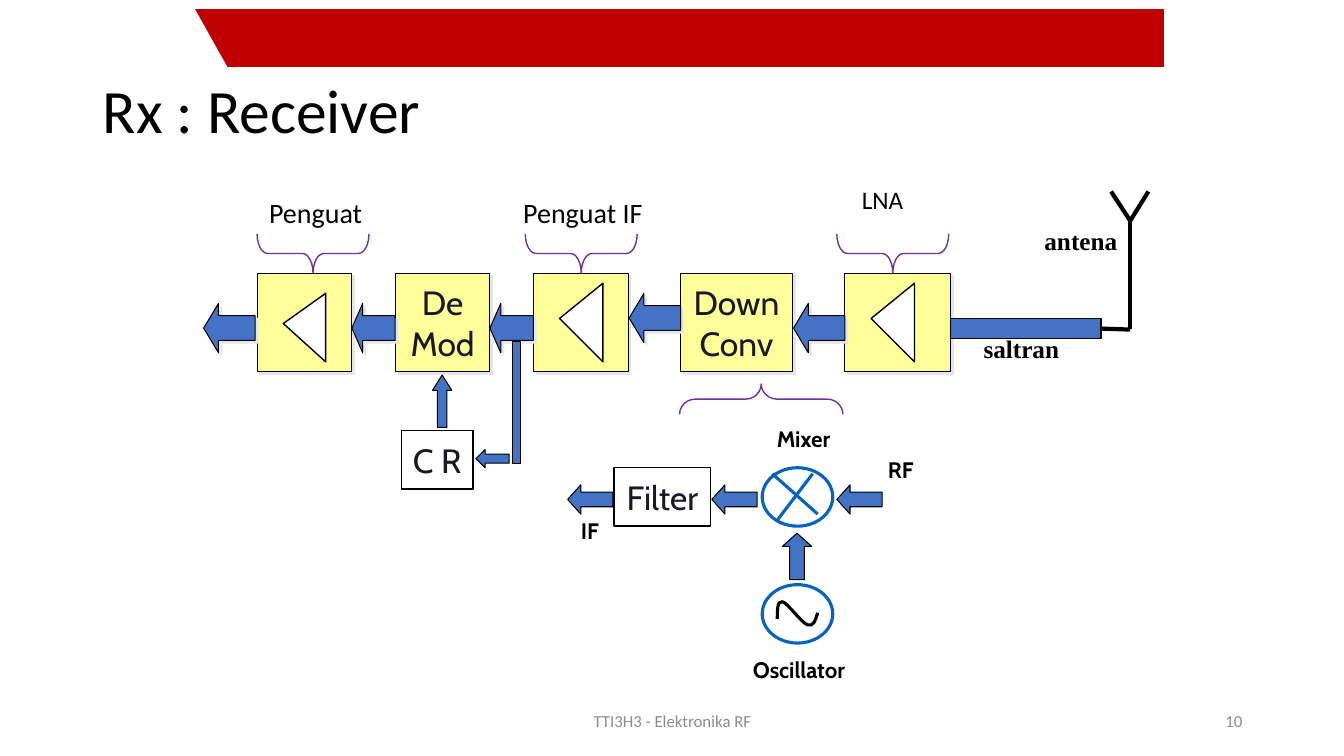
from lxml import etree
from pptx import Presentation
from pptx import util as u
from pptx.dml.color import RGBColor
from pptx.enum import shapes as sh, text as t
from pptx.oxml.ns import qn

PX = 9144  # EMU per px, 100 px to the inch
COLORS = {
    "banner": "C00000", "white": "FFFFFF", "black": "000000", "footer": "8C8C8C",
    "block": "FFFF99", "signal": "4472C4", "brace": "7030A0", "mixer": "0563C1",
    "ink": "191925", "shadow": "E7E6E6",
}
SHAPE = sh.MSO_SHAPE
LEFT, CENTER, RIGHT = t.PP_ALIGN.LEFT, t.PP_ALIGN.CENTER, t.PP_ALIGN.RIGHT
TOP, MIDDLE, BOTTOM = t.MSO_ANCHOR.TOP, t.MSO_ANCHOR.MIDDLE, t.MSO_ANCHOR.BOTTOM


def rgb(name):
    return RGBColor.from_string(COLORS[name])


def emu(*lengths):
    return [length * PX for length in lengths]


def style(shape, fill, line, width):
    shape.shadow.inherit = False
    if fill:
        shape.fill.solid()
        shape.fill.fore_color.rgb = rgb(fill)
    else:
        shape.fill.background()
    shape.line.color.rgb = rgb(line)
    shape.line.width = u.Pt(width)


def add_preset(slide, kind, box, fill, line="black", width=0.75, adjust=()):
    shape = slide.shapes.add_shape(kind, *emu(*box))
    style(shape, fill, line, width)
    for index, value in enumerate(adjust):
        shape.adjustments[index] = value
    return shape


def add_shadow(shape):
    effects = shape._element.spPr.find(qn("a:effectLst"))
    shadow = etree.SubElement(effects, qn("a:outerShdw"), dist=str(u.Pt(2.8)),
                              dir="2700000", algn="ctr", rotWithShape="0")
    etree.SubElement(shadow, qn("a:srgbClr"), val=COLORS["shadow"])


def write(frame, lines, size, font, color, bold=False, align=LEFT, anchor=TOP, wrap=True):
    frame.word_wrap = wrap
    frame.vertical_anchor = anchor
    for index, line in enumerate(lines):
        paragraph = frame.paragraphs[0] if index == 0 else frame.add_paragraph()
        paragraph.alignment = align
        run = paragraph.add_run()
        run.text = line
        run.font.size = u.Pt(size)
        run.font.name = font
        run.font.bold = bold
        run.font.color.rgb = rgb(color)


def add_label(slide, box, wording, size, font="Calibri", color="black", **options):
    label = slide.shapes.add_textbox(*emu(*box))
    write(label.text_frame, [wording], size, font, color, **options)
    return label


def add_block(slide, box, lines=(), fill="block", width=0.75):
    block = add_preset(slide, SHAPE.RECTANGLE, box, fill, width=width)
    write(block.text_frame, lines, 24, "Cabin", "ink", align=CENTER, anchor=MIDDLE, wrap=False)
    return block


def add_arrow(slide, box, head, kind=SHAPE.LEFT_ARROW):
    return add_preset(slide, kind, box, "signal", adjust=(0.5, head))


def add_brace(slide, box, rotation, curl):
    brace = add_preset(slide, SHAPE.LEFT_BRACE, box, None, "brace", 1, (curl, 0.5))
    brace.rotation = rotation


def add_outline(slide, points, fill, width, closed):
    builder = slide.shapes.build_freeform(*points[0], scale=PX)
    builder.add_line_segments(points[1:], close=closed)
    outline = builder.convert_to_shape()
    style(outline, fill, "black", width)
    return outline


def add_wave(slide, points):
    """Draw a smooth curve: a start, then three Bezier points per arc."""
    wave = add_outline(slide, points, None, 2.25, False)
    route = wave._element.spPr.find(".//" + qn("a:path"))
    steps = route.findall(qn("a:lnTo"))
    for first in range(0, len(steps), 3):
        arc = etree.SubElement(route, qn("a:cubicBezTo"))
        for step in steps[first:first + 3]:
            arc.append(step[0])
            route.remove(step)


def add_line(slide, start, end, color="black", width=3):
    line = slide.shapes.add_connector(sh.MSO_CONNECTOR.STRAIGHT, *emu(*start, *end))
    line.line.color.rgb = rgb(color)
    line.line.width = u.Pt(width)
    etree.SubElement(line._element.spPr, qn("a:effectLst"))
    return line


def add_frame(slide):
    # Banner with its slanted left end
    add_preset(slide, SHAPE.RECTANGLE, (192, 8, 963, 59), "banner", "white", 1)
    add_preset(slide, SHAPE.RIGHT_TRIANGLE, (192, 8, 33, 59), "white", "white", 1)

    # Title and footer
    title = add_label(slide, (92, 40, 1150, 145), "Rx : Receiver", 44, anchor=MIDDLE)
    title.text_frame.paragraphs[0].line_spacing = 0.9
    add_label(slide, (442, 695, 450, 40), "TTI3H3 - Elektronika RF", 12,
              color="footer", align=CENTER, anchor=MIDDLE)
    add_label(slide, (942, 695, 300, 40), "10", 12, color="footer", align=RIGHT, anchor=MIDDLE)


def add_receiver_chain(slide):
    # Stages
    for left, width, lines in ((255, 94, ()), (392, 94, ("De", "Mod")), (529, 94, ()),
                               (675, 111, ("Down", "Conv")), (838, 105, ())):
        add_shadow(add_block(slide, (left, 271, width, 98), lines))

    # Signal arrows between stages
    for left, top, width, head in ((202, 301, 51, 0.3), (349, 301, 43, 0.25),
                                   (486, 301, 43, 0.25), (624, 291, 51, 0.3),
                                   (787, 301, 51, 0.3)):
        add_shadow(add_arrow(slide, (left, top, width, 49), head))

    # Amplifier symbols
    for left, right, top, tip in ((281, 323, 291, 321), (555, 598, 281, 316),
                                  (864, 907, 281, 316)):
        add_outline(slide, [(right, 359), (right, top), (left, tip)], "white", 1, True)

    # Braces and names above the amplifiers
    for left in (291, 557, 866):
        add_brace(slide, (left, 196, 39, 111), 270, 0.27)
    add_label(slide, (257, 189, 130, 44), "Penguat", 20)
    add_label(slide, (509, 189, 162, 44), "Penguat IF", 20)
    add_label(slide, (845, 178, 89, 40), "LNA", 18)


def add_antenna(slide):
    for box, wording in (((934, 326, 158, 40), "saltran"), ((1009, 219, 126, 40), "antena")):
        add_label(slide, box, wording, 18, "Times New Roman", bold=True, align=CENTER)
    cable = add_preset(slide, SHAPE.RECTANGLE, (943, 316, 149, 20), "signal")
    feed = add_line(slide, (1092, 326), (1121, 327))
    feed.begin_connect(cable, 3)
    fork = (1121, 219)
    for end in ((1121, 326), (1102, 190), (1139, 190)):
        add_line(slide, fork, end)


def add_down_converter(slide):
    add_block(slide, (609, 464, 96, 58), ["Filter"], "white", 1)
    for left in (563, 706, 830):
        add_arrow(slide, (left, 481, 45, 29), 0.45)
    add_arrow(slide, (776, 529, 29, 46), 0.45, SHAPE.UP_ARROW)

    # Mixer and oscillator symbols
    for top in (464, 580):
        add_preset(slide, SHAPE.OVAL, (756, top, 70, 58), None, "mixer", 2.25)
    add_wave(slide, [(771, 614), (771, 605), (771, 596), (776, 597),
                     (781, 598), (795, 618), (801, 620),
                     (807, 622), (809, 615), (811, 608)])
    add_line(slide, (766, 470), (811, 510), "mixer", 2.25)
    add_line(slide, (771, 516), (806, 470), "mixer", 2.25)

    for box, wording in (((746, 418, 102, 35), "Mixer"), ((698, 650, 189, 33), "Oscillator"),
                         ((860, 455, 67, 29), "RF"), ((560, 510, 50, 35), "IF")):
        add_label(slide, box, wording, 16, "Cabin", bold=True, align=CENTER, anchor=BOTTOM)
    add_brace(slide, (740, 315, 30, 162), 90, 0.52)


def add_carrier_recovery(slide):
    add_arrow(slide, (429, 372, 19, 52), 0.8, SHAPE.UP_ARROW)
    add_block(slide, (398, 427, 71, 58), ["C R"], "white", 1)
    add_arrow(slide, (472, 446, 33, 18), 0.51)
    add_preset(slide, SHAPE.RECTANGLE, (508, 339, 8, 121), "signal")


def main():
    deck = Presentation()
    deck.slide_width, deck.slide_height = emu(1333, 750)
    slide = deck.slides.add_slide(deck.slide_layouts[6])
    add_frame(slide)
    add_receiver_chain(slide)
    add_antenna(slide)
    add_down_converter(slide)
    add_carrier_recovery(slide)
    deck.save("out.pptx")


if __name__ == "__main__":
    main()
